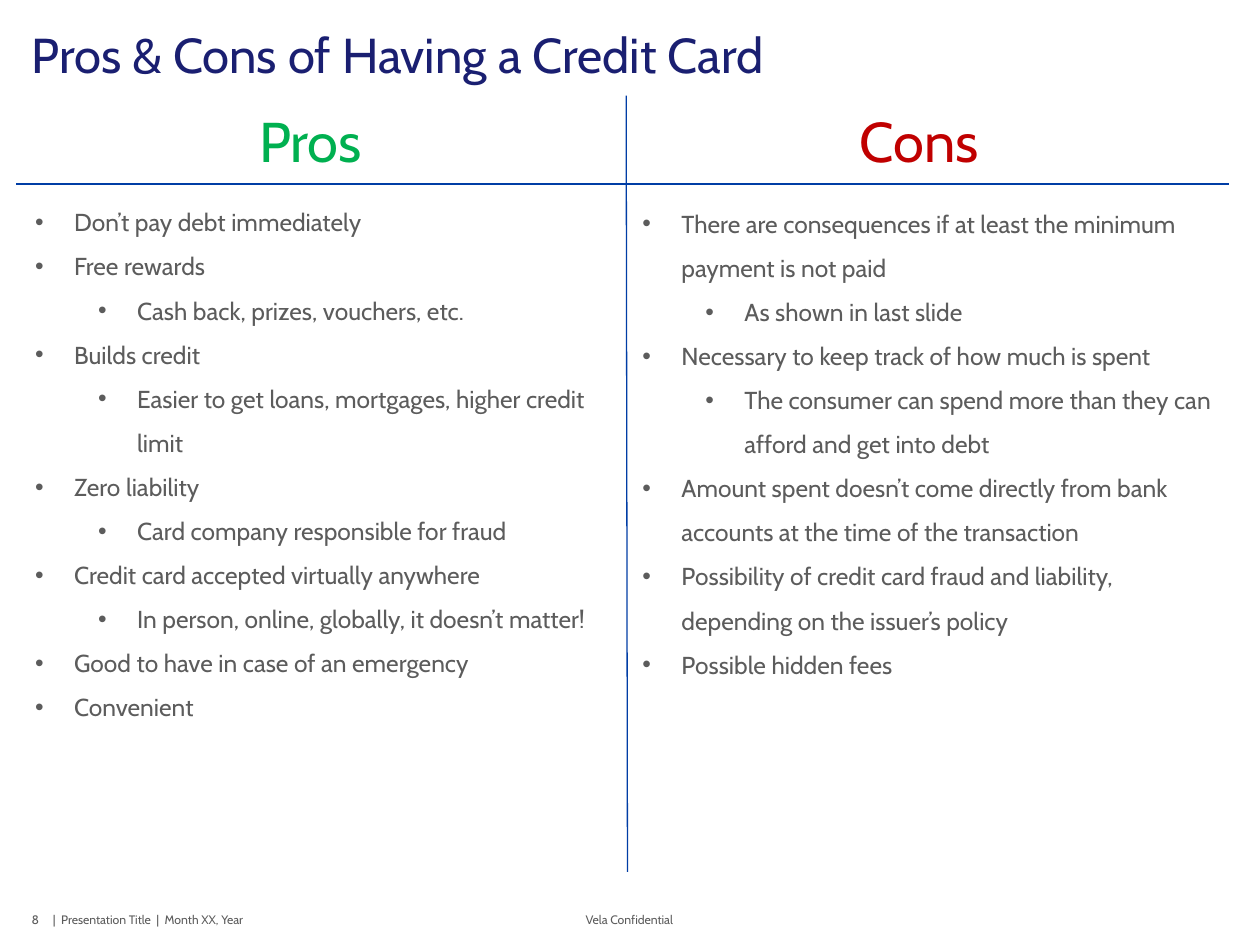
"""Builds a slide weighing the pros and cons of having a credit card."""
from lxml import etree
from pptx import Presentation
from pptx import util as u
from pptx.dml.color import RGBColor
from pptx.enum import shapes, text
from pptx.oxml import ns

NAVY = RGBColor(0x1A, 0x1F, 0x71)
BLUE = RGBColor(0x00, 0x3D, 0xA5)
GREEN = RGBColor(0x00, 0xB0, 0x50)
RED = RGBColor(0xC0, 0x00, 0x00)
GREY = RGBColor(0x5C, 0x5C, 0x5C)

PROS = [
    (0, "Don’t pay debt immediately"),
    (0, "Free rewards"),
    (1, "Cash back, prizes, vouchers, etc."),
    (0, "Builds credit"),
    (1, "Easier to get loans, mortgages, higher credit limit"),
    (0, "Zero liability"),
    (1, "Card company responsible for fraud"),
    (0, "Credit card accepted virtually anywhere"),
    (1, "In person, online, globally, it doesn’t matter!"),
    (0, "Good to have in case of an emergency"),
    (0, "Convenient"),
]
CONS = [
    (0, "There are consequences if at least the minimum payment is not paid"),
    (1, "As shown in last slide"),
    (0, "Necessary to keep track of how much is spent"),
    (1, "The consumer can spend more than they can afford and get into debt"),
    (0, "Amount spent doesn’t come directly from bank accounts at the time of the transaction"),
    (0, "Possibility of credit card fraud and liability, depending on the issuer’s policy"),
    (0, "Possible hidden fees"),
]


def write(paragraph, words, *, size=14, color=GREY, font="Cabin", align=None, spacing=None):
    """Put words into a paragraph with the given format."""
    run = paragraph.add_run()
    run.text = words
    run.font.name, run.font.size = font, u.Pt(size)
    run.font.color.rgb = color
    paragraph.alignment = align
    paragraph.line_spacing = spacing


class Sheet:
    """Draws on one slide, measured on a grid of 100 columns and 75 rows."""

    COLUMNS, ROWS = 100, 75
    HANG, STEP = u.Inches(0.31), u.Inches(0.5)

    def __init__(self, deck):
        self.column = deck.slide_width / self.COLUMNS
        self.row = deck.slide_height / self.ROWS
        self.slide = deck.slides.add_slide(deck.slide_layouts[6])

    def place(self, column, row):
        return round(column * self.column), round(row * self.row)

    def frame(self, left, top, width, height, *, inset=True, wrap=True):
        box = self.slide.shapes.add_textbox(*self.place(left, top), *self.place(width, height))
        frame = box.text_frame
        frame.word_wrap = wrap
        frame.auto_size = text.MSO_AUTO_SIZE.SHAPE_TO_FIT_TEXT
        if not inset:
            frame.margin_left = frame.margin_right = frame.margin_top = frame.margin_bottom = 0
        return frame

    def title(self, words):
        frame = self.frame(2.5, 2.7, 95, 4, inset=False)
        write(frame.paragraphs[0], words, size=28, color=NAVY, spacing=0.85)

    def heading(self, words, left, color):
        frame = self.frame(left, 8, 50.7, 6.4)
        write(frame.paragraphs[0], words, size=32, color=color, align=text.PP_ALIGN.CENTER)

    def bullets(self, points, left, top, width, height):
        frame = self.frame(left, top, width, height)
        for index, (level, words) in enumerate(points):
            point = frame.add_paragraph() if index else frame.paragraphs[0]
            point.level = level
            write(point, words, spacing=1.5)
            properties = point._p.get_or_add_pPr()
            properties.set("marL", str(self.HANG + level * self.STEP))
            properties.set("indent", str(-self.HANG))
            etree.SubElement(properties, ns.qn("a:buFont"), typeface="Arial")
            etree.SubElement(properties, ns.qn("a:buChar"), char="•")

    def rule(self, start, end):
        line = self.slide.shapes.add_connector(
            shapes.MSO_CONNECTOR.STRAIGHT, *self.place(*start), *self.place(*end))
        line.line.color.rgb, line.line.width = BLUE, u.Pt(0.75)
        etree.SubElement(line._element.spPr, ns.qn("a:effectLst"))

    def footer(self, words, left, width, align=None):
        frame = self.frame(left, 72.4, width, 1.2, inset=False, wrap=False)
        write(frame.paragraphs[0], words, size=7, align=align)


def main():
    deck = Presentation()
    deck.slide_width, deck.slide_height = u.Inches(10), u.Inches(7.5)
    sheet = Sheet(deck)
    sheet.footer("Vela Confidential", 46.3, 7.3, text.PP_ALIGN.CENTER)
    sheet.footer("|  Presentation Title  |  Month XX, Year", 4.2, 16.2)
    sheet.footer("8", 2.5, 1.2)
    sheet.title("Pros & Cons of Having a Credit Card")
    sheet.rule((1.3, 14.6), (97.5, 14.6))
    sheet.rule((49.7, 7.6), (49.8, 69.2))
    sheet.heading("Pros", -0.7, GREEN)
    sheet.heading("Cons", 47.6, RED)
    sheet.bullets(PROS, 1.8, 14.8, 47.5, 47)
    sheet.bullets(CONS, 50, 14.9, 47.9, 43.4)
    deck.save("out.pptx")


if __name__ == "__main__":
    main()
